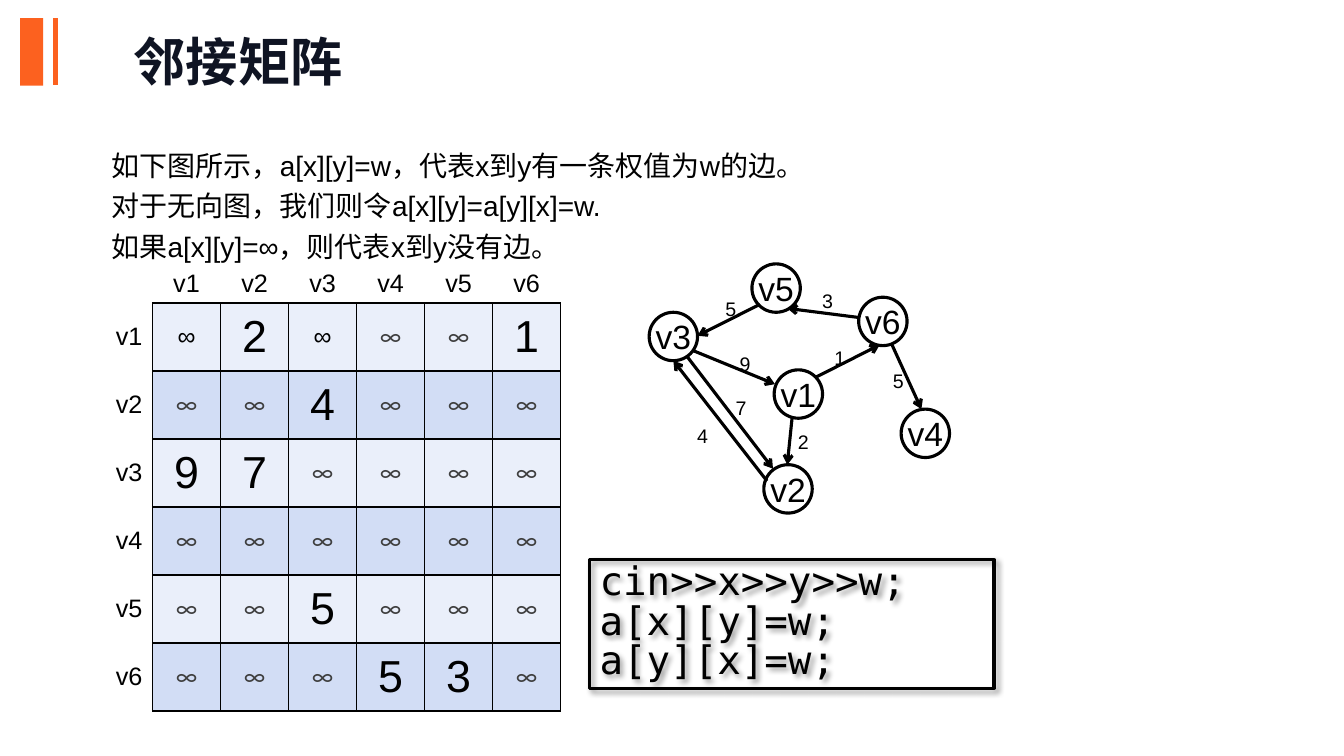
from lxml.etree import SubElement
from pptx import Presentation
from pptx.dml.color import RGBColor
from pptx.enum.shapes import MSO_CONNECTOR, MSO_SHAPE
from pptx.enum.text import MSO_ANCHOR, MSO_AUTO_SIZE, PP_ALIGN
from pptx.oxml.ns import qn
from pptx.util import Cm, Pt

BLACK, GREY, ORANGE, NAVY = "000000", "3F3F3F", "FC611F", "0F1423"
BANDS = ("EAEFFA", "D2DDF5")
SANS, CJK, MONO, MATH = "Arial", "Noto Sans CJK SC", "DejaVu Sans Mono", "Calibri"

NODE_SIZE = 1.22
NODES = {
    "v1": (19.51, 9.32), "v2": (19.25, 11.71), "v3": (16.36, 7.87),
    "v4": (22.71, 10.31), "v5": (18.95, 6.65), "v6": (21.64, 7.49),
}
# source, target, weight, arrow start, arrow end, weight label corner
EDGES = [
    ("v3", "v1", 9, (17.48, 8.84), (19.53, 9.68), (18.39, 8.56)),
    ("v5", "v3", 5, (19.15, 7.67), (17.58, 8.46), (18.03, 7.19)),
    ("v1", "v6", 1, (20.57, 9.5), (22.17, 8.69), (20.78, 8.41)),
    ("v1", "v2", 2, (19.96, 10.54), (19.84, 11.71), (19.86, 10.52)),
    ("v6", "v4", 5, (22.48, 8.69), (23.22, 10.31), (22.25, 8.99)),
    ("v6", "v5", 3, (21.64, 8), (19.84, 7.77), (20.47, 6.99)),
    ("v3", "v2", 7, (17.32, 8.99), (19.48, 11.81), (18.29, 9.68)),
    ("v2", "v3", 4, (19.33, 12.12), (16.97, 9.09), (17.32, 10.39)),
]
BLACK_INFINITIES = {("v1", "v1"), ("v1", "v3")}
NO_TABLE_STYLE = "{2D5ABB26-0587-4C30-8999-92F81FD0307C}"


def rgb(value):
    return RGBColor.from_string(value)


class Slide:
    def __init__(self, prs):
        self.s = prs.slides.add_slide(prs.slide_layouts[6])

    def add_lines(self, tf, lines, size, font=SANS, color=BLACK, bold=False,
                  align=PP_ALIGN.LEFT, spacing=None, indent=0):
        for i, line in enumerate(lines):
            p = tf.paragraphs[0] if i == 0 else tf.add_paragraph()
            p.alignment = align
            if spacing:
                p.line_spacing = spacing
            if indent:
                p._p.get_or_add_pPr().set("marL", str(Cm(indent)))
            r = p.add_run()
            r.text = line
            r.font.size, r.font.name, r.font.bold = Pt(size), font, bold
            r.font.color.rgb = rgb(color)
            SubElement(r._r.get_or_add_rPr(), qn("a:ea"), typeface=font)

    def text(self, box, lines, size, wrap=True, grow=True,
             anchor=MSO_ANCHOR.TOP, **style):
        tf = self.s.shapes.add_textbox(*map(Cm, box)).text_frame
        tf.word_wrap = wrap
        tf.auto_size = MSO_AUTO_SIZE.SHAPE_TO_FIT_TEXT if grow else MSO_AUTO_SIZE.NONE
        tf.vertical_anchor = anchor
        self.add_lines(tf, lines, size, **style)

    def shape(self, kind, box, fill=None, line=None):
        sp = self.s.shapes.add_shape(kind, *map(Cm, box))
        sp.shadow.inherit = False
        if fill:
            sp.fill.solid()
            sp.fill.fore_color.rgb = rgb(fill)
        else:
            sp.fill.background()
        if line:
            sp.line.color.rgb = rgb(line)
            sp.line.width = Pt(2.25)
        else:
            sp.line.fill.background()
        return sp

    def line(self, start, end, color=BLACK, width=2.25, arrow=False):
        c = self.s.shapes.add_connector(MSO_CONNECTOR.STRAIGHT, *map(Cm, start + end))
        c.line.color.rgb = rgb(color)
        c.line.width = Pt(width)
        if arrow:
            ln = c._element.spPr.find(qn("a:ln"))
            SubElement(ln, qn("a:tailEnd"), type="arrow")
        SubElement(c._element.spPr, qn("a:effectLst"))

    def node(self, name, corner):
        sp = self.shape(MSO_SHAPE.OVAL, corner + (NODE_SIZE, NODE_SIZE), line=BLACK)
        tf = sp.text_frame
        tf.word_wrap = False
        tf.vertical_anchor = MSO_ANCHOR.MIDDLE
        self.add_lines(tf, [name], 24, align=PP_ALIGN.CENTER)

    def code(self, box, lines):
        sp = self.shape(MSO_SHAPE.RECTANGLE, box, line=BLACK)
        effects = sp._element.spPr.find(qn("a:effectLst"))
        shadow = SubElement(effects, qn("a:outerShdw"), blurRad=str(Pt(4)),
                            dist=str(Pt(3)), dir=str(45 * 60000), algn="tl",
                            rotWithShape="0")
        tint = SubElement(shadow, qn("a:srgbClr"), val=BLACK)
        SubElement(tint, qn("a:alpha"), val="40000")
        tf = sp.text_frame
        tf.word_wrap = True
        tf.vertical_anchor = MSO_ANCHOR.TOP
        tf.auto_size = MSO_AUTO_SIZE.SHAPE_TO_FIT_TEXT
        self.add_lines(tf, lines, 28, font=MONO, spacing=Pt(28))

    def border(self, cell, sides):
        tcPr = cell._tc.get_or_add_tcPr()
        for i, side in enumerate(sides):
            ln = SubElement(tcPr, qn(f"a:ln{side}"), w=str(Pt(1)))
            SubElement(SubElement(ln, qn("a:solidFill")), qn("a:srgbClr"), val=BLACK)
            tcPr.insert(i, ln)

    def cell(self, cell, value, size=18, fill=None, sides="",
             anchor=MSO_ANCHOR.MIDDLE, align=PP_ALIGN.CENTER, **style):
        cell.vertical_anchor = anchor
        if fill:
            cell.fill.solid()
            cell.fill.fore_color.rgb = rgb(fill)
        else:
            cell.fill.background()
        self.border(cell, sides)
        self.add_lines(cell.text_frame, [value], size, align=align, **style)

    def matrix(self, box, names, weights):
        """Draw the adjacency matrix with a header row and a header column."""
        n = len(names) + 1
        table = self.s.shapes.add_table(n, n, *map(Cm, box)).table
        table.first_row = table.horz_banding = False
        table._tbl.tblPr.find(qn("a:tableStyleId")).text = NO_TABLE_STYLE
        table.cell(0, 0).fill.background()
        for i, name in enumerate(names, 1):
            self.cell(table.cell(0, i), name, sides="B", anchor=MSO_ANCHOR.BOTTOM)
            self.cell(table.cell(i, 0), name, sides="R", align=PP_ALIGN.RIGHT)
            for j, target in enumerate(names, 1):
                pair = (name, target)
                if pair in weights:
                    value, style = str(weights[pair]), {"size": 32}
                elif pair in BLACK_INFINITIES:
                    value, style = "∞", {}
                else:
                    value, style = "∞", {"font": MATH, "color": GREY}
                self.cell(table.cell(i, j), value, fill=BANDS[(i - 1) % 2],
                          sides="LRTB", **style)


def main():
    prs = Presentation()
    prs.slide_width, prs.slide_height = Cm(33.87), Cm(19.05)
    s = Slide(prs)

    s.shape(MSO_SHAPE.RECTANGLE, (0.51, 0.46, 0.58, 1.7), fill=ORANGE)
    s.line((1.4, 0.46), (1.4, 2.13), color=ORANGE, width=3)
    s.text((3.12, -0.43, 25.98, 3.45), ["邻接矩阵"], 37.3, grow=False,
           anchor=MSO_ANCHOR.MIDDLE, font=CJK, color=NAVY, bold=True, spacing=Pt(58))
    s.text((1.78, 3.45, 30.12, 3.33), [
        "如下图所示，a[x][y]=w，代表x到y有一条权值为w的边。",
        "对于无向图，我们则令a[x][y]=a[y][x]=w.",
        "如果a[x][y]=∞，则代表x到y没有边。",
    ], 20, spacing=1.2, indent=0.78)

    for name, corner in NODES.items():
        s.node(name, corner)
    for source, target, weight, start, end, label in EDGES:
        s.line(start, end, arrow=True)
        s.text(label + (0.79, 0.97), [str(weight)], 14, wrap=False, spacing=1.3)

    weights = {(source, target): weight for source, target, weight, *_ in EDGES}
    s.matrix((2.13, 5.92, 12, 12), list(NODES), weights)
    s.code((14.86, 14.1, 10.19, 3.25), ["cin>>x>>y>>w;", "a[x][y]=w;", "a[y][x]=w;"])

    prs.save("out.pptx")


if __name__ == "__main__":
    main()
